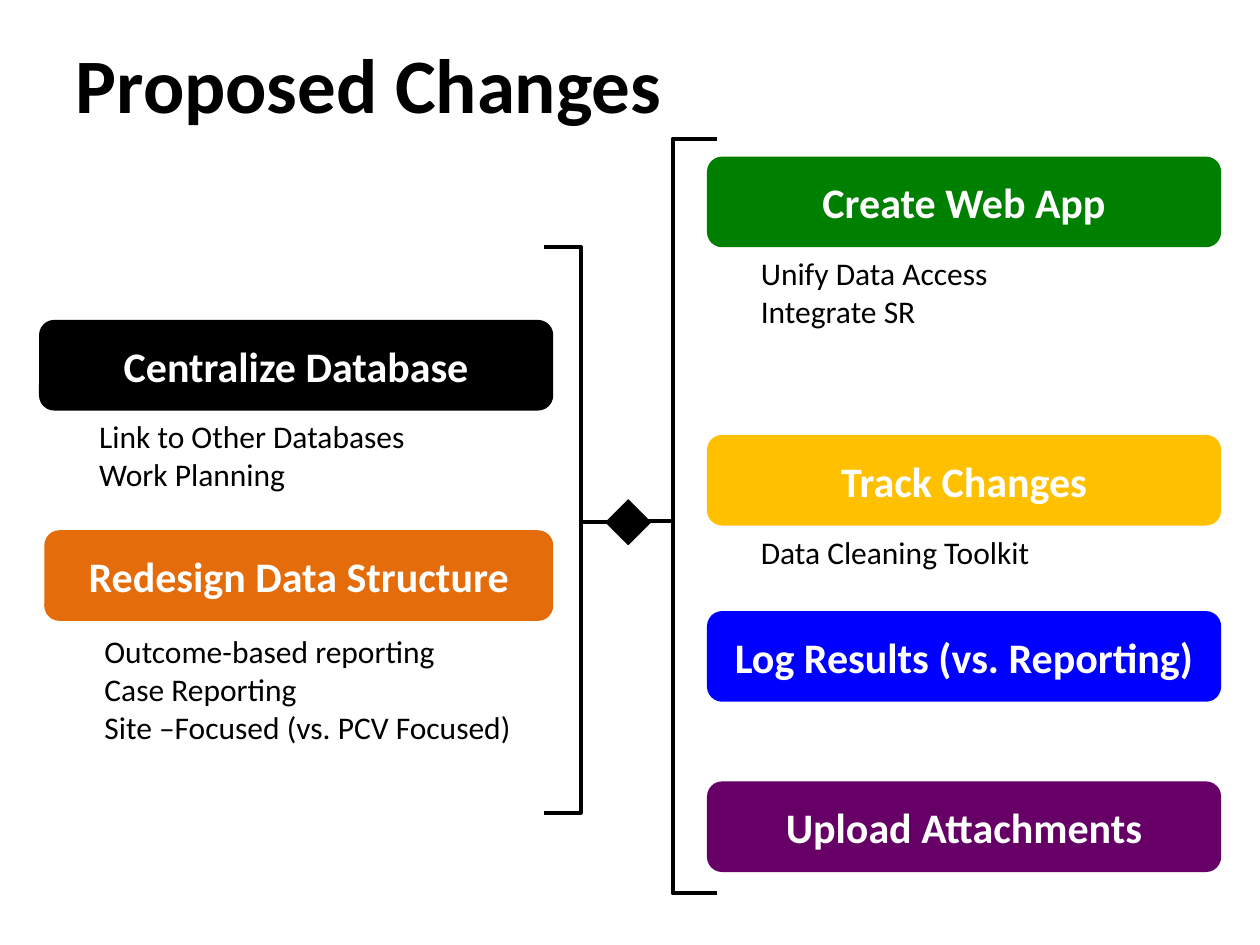
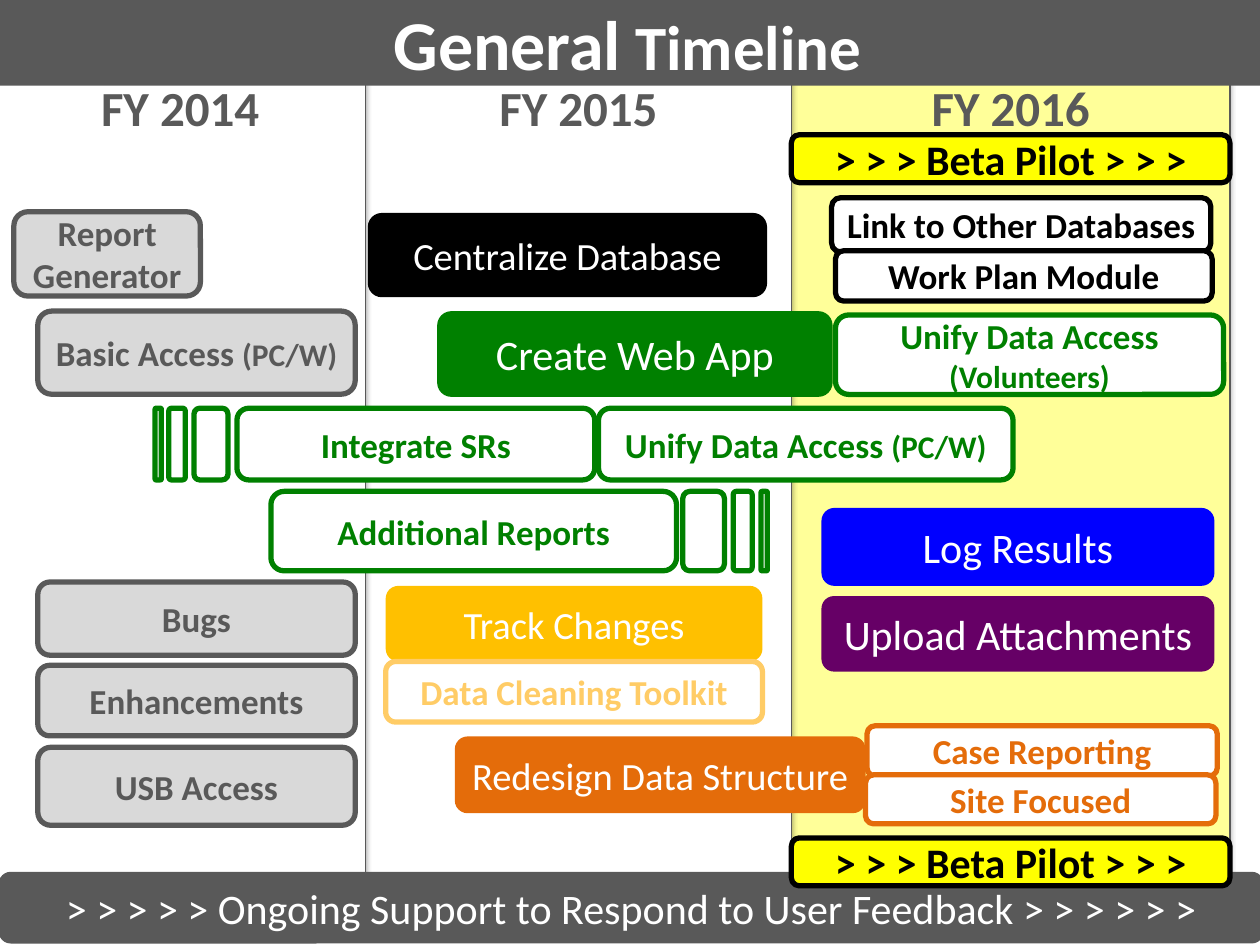
from dataclasses import dataclass
from itertools import pairwise
from typing import NamedTuple

from lxml import etree
from pptx import Presentation
from pptx.dml.color import RGBColor
from pptx.enum.shapes import MSO_SHAPE
from pptx.enum.text import MSO_ANCHOR, MSO_AUTO_SIZE, PP_ALIGN
from pptx.oxml.ns import qn
from pptx.shapes.autoshape import Shape
from pptx.slide import Slide
from pptx.text.text import TextFrame
from pptx.util import Pt

FONT = "Calibri"
BLACK = RGBColor(0x00, 0x00, 0x00)
WHITE = RGBColor(0xFF, 0xFF, 0xFF)
GREEN = RGBColor(0x00, 0x80, 0x00)
BLUE = RGBColor(0x00, 0x00, 0xFF)
PURPLE = RGBColor(0x66, 0x00, 0x66)
ORANGE = RGBColor(0xE4, 0x6C, 0x0A)
GOLD = RGBColor(0xFF, 0xC0, 0x00)
PALE_GOLD = RGBColor(0xFF, 0xCC, 0x66)
YELLOW = RGBColor(0xFF, 0xFF, 0x00)
PALE_YELLOW = RGBColor(0xFF, 0xFF, 0x99)
DARK_GREY = RGBColor(0x59, 0x59, 0x59)
LIGHT_GREY = RGBColor(0xD9, 0xD9, 0xD9)

RECT, ROUNDED, BRACE = MSO_SHAPE.RECTANGLE, MSO_SHAPE.ROUNDED_RECTANGLE, MSO_SHAPE.RIGHT_BRACE
LEFT, CENTER = PP_ALIGN.LEFT, PP_ALIGN.CENTER
TOP, MIDDLE = MSO_ANCHOR.TOP, MSO_ANCHOR.MIDDLE
NO_AUTOFIT = MSO_AUTO_SIZE.NONE
TITLE_ONLY = 5


class Box(NamedTuple):
    """Left, top, width and height in points."""
    left: float
    top: float
    width: float
    height: float

    def lengths(self) -> list[Pt]:
        return [Pt(value) for value in self]


@dataclass(frozen=True)
class Style:
    fill: RGBColor | None
    ink: RGBColor = WHITE
    size: float = 24
    bold: bool = False
    line: RGBColor | None = None
    line_width: float = 3


@dataclass(frozen=True)
class Card:
    text: str
    box: Box
    style: Style
    aside: str = ""  # smaller words after the text


def outlined(color: RGBColor, fill: RGBColor = WHITE, size: float = 20) -> Style:
    return Style(fill, color, size, True, color)


GREY_TASK = outlined(DARK_GREY, LIGHT_GREY)
GREEN_TASK = outlined(GREEN)
ORANGE_TASK = outlined(ORANGE)
BLACK_TASK = outlined(BLACK)
PILOT = outlined(BLACK, YELLOW, 24)


def write_text(frame: TextFrame, text: str, *, size: float, color: RGBColor = BLACK,
               bold: bool = False, align: PP_ALIGN = LEFT, anchor: MSO_ANCHOR = TOP,
               aside: str = "", aside_size: float = 18) -> None:
    frame.word_wrap = True
    frame.auto_size = NO_AUTOFIT
    frame.vertical_anchor = anchor
    for index, line in enumerate(text.split("\n")):
        paragraph = frame.add_paragraph() if index else frame.paragraphs[0]
        paragraph.alignment = align
        for words, points in ((line, size), (aside, aside_size)):
            if words:
                run = paragraph.add_run()
                run.text = words
                run.font.name, run.font.size = FONT, Pt(points)
                run.font.bold, run.font.color.rgb = bold, color


def draw_shape(slide: Slide, kind: MSO_SHAPE, box: Box, style: Style) -> Shape:
    shape = slide.shapes.add_shape(kind, *box.lengths())
    shape.shadow.inherit = False
    if style.fill is None:
        shape.fill.background()
    else:
        shape.fill.solid()
        shape.fill.fore_color.rgb = style.fill
    if style.line is None:
        shape.line.fill.background()
    else:
        shape.line.color.rgb = style.line
        shape.line.width = Pt(style.line_width)
    return shape


def draw_card(slide: Slide, card: Card, kind: MSO_SHAPE = ROUNDED,
              anchor: MSO_ANCHOR = MIDDLE) -> Shape:
    shape = draw_shape(slide, kind, card.box, card.style)
    frame = shape.text_frame
    frame.margin_left = frame.margin_right = Pt(3.6)
    if card.text:
        write_text(frame, card.text, size=card.style.size, color=card.style.ink,
                   bold=card.style.bold, align=CENTER, anchor=anchor, aside=card.aside)
    return shape


def draw_brace(slide: Slide, box: Box, tip: float, flipped: bool = False) -> None:
    brace = draw_shape(slide, BRACE, box, Style(None, line=BLACK, line_width=2.25))
    brace.adjustments[0] = 0
    brace.adjustments[1] = tip
    if flipped:
        brace.element.spPr.find(qn("a:xfrm")).set("flipH", "1")


def cast_shadow(shape: Shape) -> None:
    effects = shape.element.spPr.find(qn("a:effectLst"))
    shadow = etree.SubElement(effects, qn("a:outerShdw"), blurRad=str(Pt(3.1)),
                              dist=str(Pt(1.8)), dir="5400000", rotWithShape="0")
    color = etree.SubElement(shadow, qn("a:srgbClr"), val=str(BLACK))
    etree.SubElement(color, qn("a:alpha"), val="35000")


def place_title(slide: Slide, box: Box, text: str, **text_format) -> Shape:
    title = slide.shapes.title
    title.left, title.top, title.width, title.height = box.lengths()
    write_text(title.text_frame, text, bold=True, anchor=MIDDLE, **text_format)
    return title


def build_changes(slide: Slide) -> None:
    place_title(slide, Box(36, 5, 648, 84.2), "Proposed Changes", size=44)
    right, left, width, height = 404, 22.3, 293.8, 51.8
    changes = [
        ("Create Web App", GREEN, right, 89.5),
        ("Track Changes", GOLD, right, 248.5),
        ("Log Results (vs. Reporting)", BLUE, right, 349.2),
        ("Upload Attachments", PURPLE, right, 446.5),
        ("Centralize Database", BLACK, left, 182.8),
        ("Redesign Data Structure", ORANGE, left + 3, 303),
    ]
    for name, color, x, y in changes:
        card_width = width if x != left + 3 else width - 3
        draw_card(slide, Card(name, Box(x, y, card_width, height), Style(color, bold=True)))

    details = [
        ("Unify Data Access\nIntegrate SR", Box(427.7, 141.8, 247, 51)),
        ("Data Cleaning Toolkit", Box(427.7, 301, 172, 29)),
        ("Link to Other Databases\nWork Planning", Box(49.6, 234.7, 261.4, 51)),
        ("Outcome-based reporting\nCase Reporting\nSite –Focused (vs. PCV Focused)",
         Box(52.6, 357.8, 263.5, 72.7)),
    ]
    for text, box in details:
        write_text(slide.shapes.add_textbox(*box.lengths()).text_frame, text, size=18)

    draw_brace(slide, Box(359.3, 79.2, 50.4, 431.3), 0.507, flipped=True)
    draw_brace(slide, Box(311, 141.1, 41.8, 323.3), 0.486)
    hub = draw_shape(slide, RECT, Box(350, 289.4, 18, 18),
                     Style(BLACK, line=BLACK, line_width=0.75))
    hub.rotation = 45


def build_timeline(slide: Slide) -> None:
    year_edges = [-2.9, 208.8, 452.2, 702.8]
    years = zip(("FY 2014", "FY 2015", "FY 2016"), (WHITE, WHITE, PALE_YELLOW),
                pairwise(year_edges))
    for year, fill, (start, end) in reversed(list(years)):
        style = Style(fill, DARK_GREY, 28, True, DARK_GREY, 0.75)
        card = Card(year, Box(start, 41, end - start, 481), style)
        cast_shadow(draw_card(slide, card, RECT, TOP))

    title = place_title(slide, Box(-2.9, 0, 722.9, 49), "General", size=40, color=WHITE,
                        align=CENTER, aside=" Timeline", aside_size=36)
    title.fill.solid()
    title.fill.fore_color.rgb = DARK_GREY
    title.element.getparent().append(title.element)  # bring above the year columns

    access_top, access_height = 233.3, 41
    reports_top, reports_height = 280.8, 45.4
    pilot_left, pilot_width = year_edges[2], year_edges[3] - year_edges[2]
    cards = [
        Card("Create Web App", Box(249.8, 177.8, 226, 49), Style(GREEN)),
        Card("Log Results", Box(469.4, 290.2, 224.6, 44.6), Style(BLUE)),
        Card("Upload Attachments", Box(469.4, 340.6, 224.6, 43.2), Style(PURPLE)),
        Card("Track Changes", Box(220.4, 334.8, 215.3, 43.2), Style(GOLD, size=22)),
        Card("Unify Data Access ", Box(342, access_top, 236.9, access_height),
             GREEN_TASK, "(PC/W)"),
        Card("Case Reporting", Box(495.4, 414.7, 200.2, 28.8), ORANGE_TASK),
        Card("Site Focused", Box(494.6, 442.8, 200.2, 28), ORANGE_TASK),
        Card("Data Cleaning Toolkit", Box(220.4, 378, 215.3, 34.6), outlined(PALE_GOLD)),
        Card("Integrate SRs", Box(135.4, access_top, 204.5, access_height), GREEN_TASK),
        Card("Unify Data Access ", Box(477.4, 180, 221.8, 45.4), GREEN_TASK, "(Volunteers)"),
        Card("Report Generator", Box(7.9, 121, 106.6, 48.2), GREY_TASK),
        Card("Bugs", Box(21.6, 332.6, 181.4, 41.8), GREY_TASK),
        Card("USB Access", Box(21.6, 427, 181.4, 44.6), GREY_TASK),
        Card("Enhancements", Box(21.6, 380.2, 181.4, 40.3), GREY_TASK),
        Card("> > > > > Ongoing Support to Respond to User Feedback > > > > > >",
             Box(-0.7, 498.2, 722.9, 41), Style(DARK_GREY)),
        Card("Basic Access ", Box(21.6, 177.8, 181.4, 47.5), GREY_TASK, "(PC/W)"),
        Card("Additional Reports", Box(154.8, reports_top, 231.8, reports_height), GREEN_TASK),
        Card("Link to Other Databases", Box(475.2, 113, 216.7, 31), BLACK_TASK),
        Card("Centralize Database", Box(210.2, 121.7, 228.2, 48.2), Style(BLACK, size=22)),
        Card("Redesign Data Structure", Box(259.9, 420.8, 234.7, 43.9), Style(ORANGE, size=22)),
        Card("Work Plan Module", Box(477.4, 143.3, 215.3, 28.8), BLACK_TASK),
    ]
    fading_steps = [
        (access_top, access_height, ((110.9, 19.4), (96.5, 9.4), (88.6, 3.6))),
        (reports_top, reports_height, ((390.2, 23.8), (419, 10.8), (434.9, 3.6))),
    ]
    cards += [Card("", Box(x, y, width, height), GREEN_TASK)
              for y, height, steps in fading_steps for x, width in steps]
    cards += [Card("> > > Beta Pilot > > >", Box(pilot_left, y, pilot_width, 27.4), PILOT)
              for y in (77, 478.8)]
    for card in cards:
        draw_card(slide, card)


def main() -> None:
    deck = Presentation()
    deck.slide_width, deck.slide_height = Pt(720), Pt(540)
    for build in (build_changes, build_timeline):
        build(deck.slides.add_slide(deck.slide_layouts[TITLE_ONLY]))
    deck.save("out.pptx")


if __name__ == "__main__":
    main()
